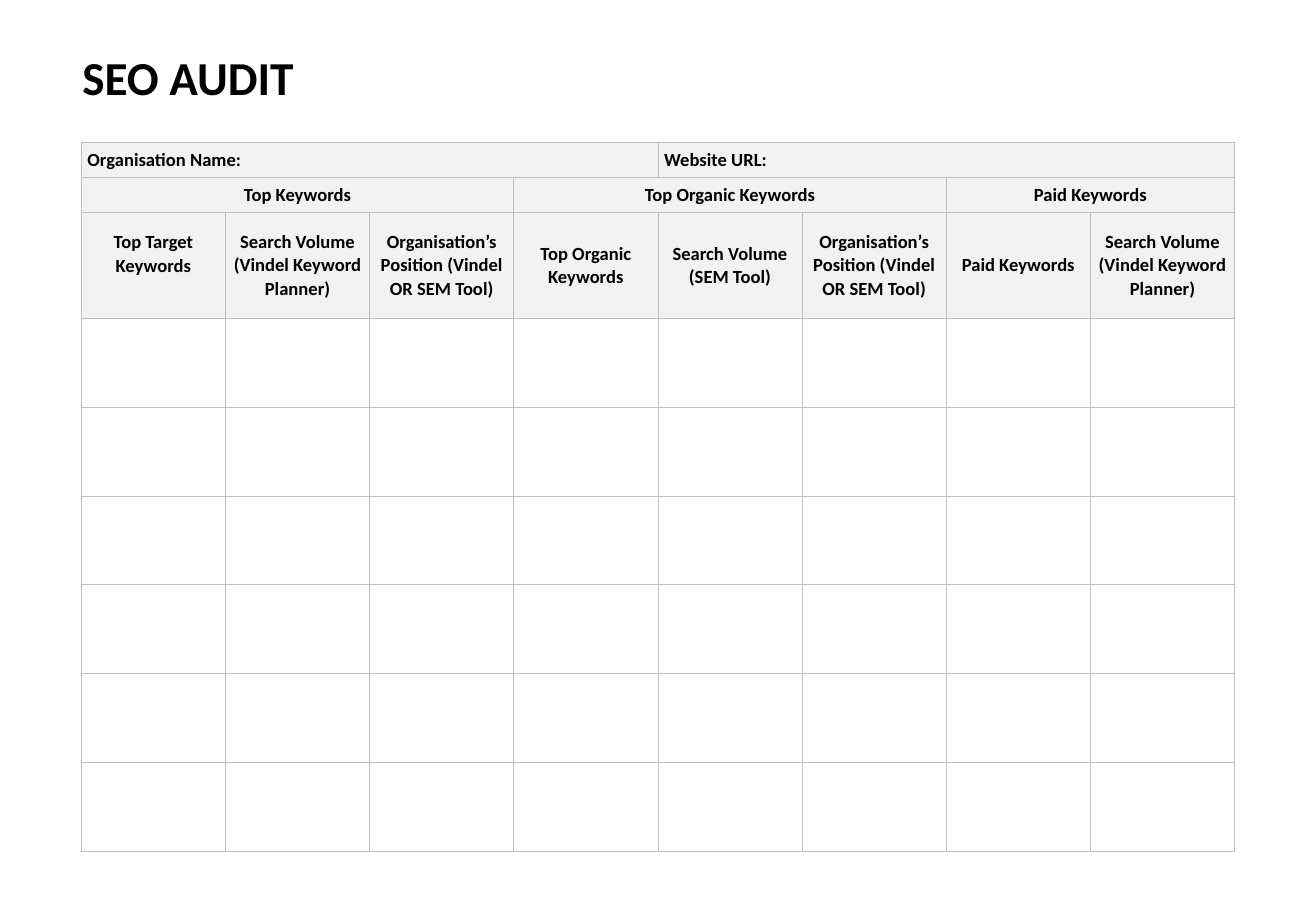
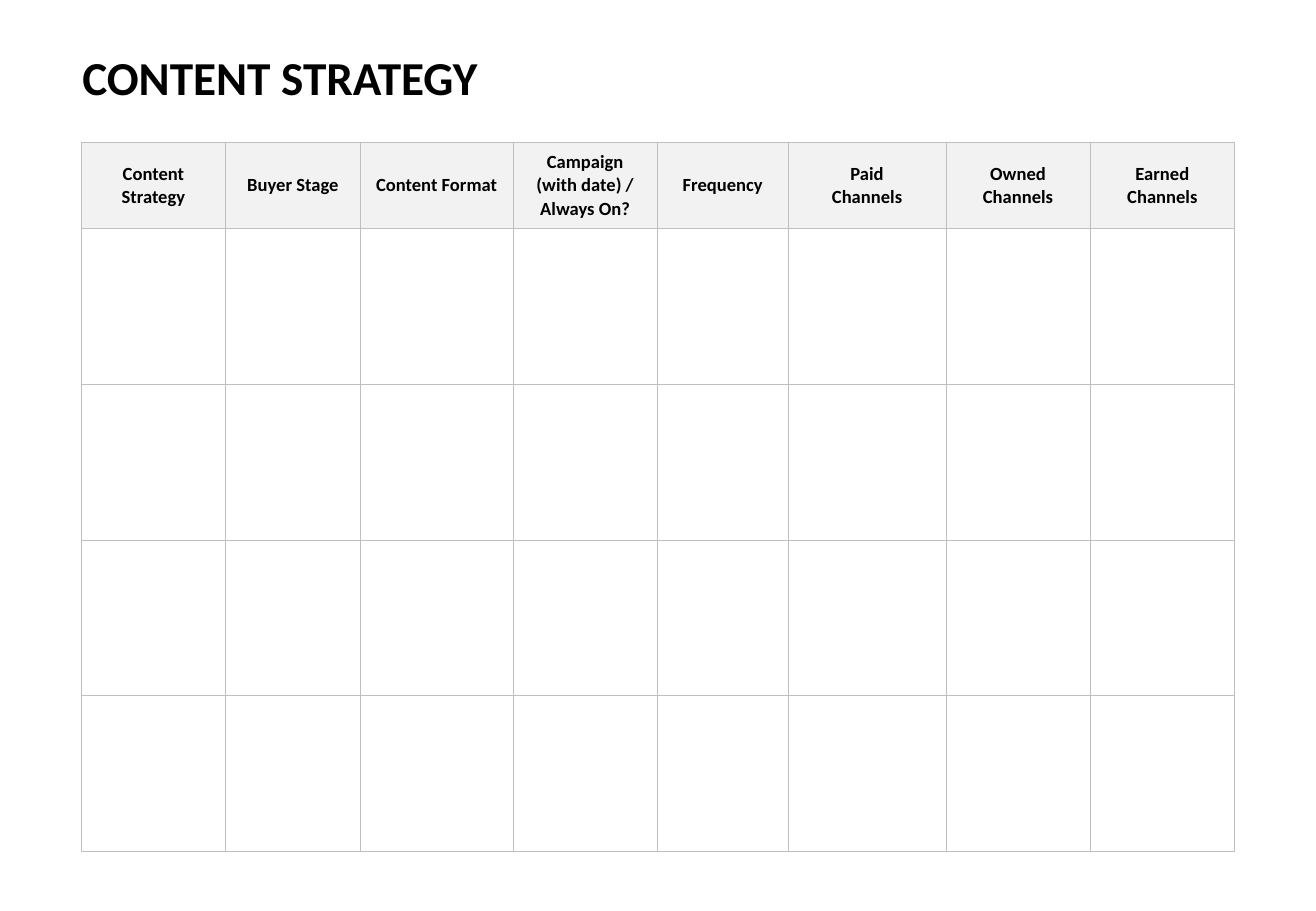
"""Build two planning sheets: an SEO audit and a content strategy."""
from dataclasses import dataclass
from typing import Any

from lxml import etree
from pptx import Presentation
from pptx import util as u
from pptx.dml import color
from pptx.enum import text
from pptx.oxml import ns

SLIDE_W, SLIDE_H = 10.84, 7.5
LEFT, TOP, WIDTH, HEIGHT = 0.67, 1.17, 9.5, 5.84
TITLE_LEFT, TITLE_TOP, TITLE_H = 0.58, 0.35, 0.57
COLOURS = {"ink": "000000", "head": "F2F2F2", "rule": "BFBFBF"}
RULE_PT = 0.45
PLAIN_STYLE = "{2D5ABB26-0587-4C30-8999-92F81FD0307C}"
TITLE_FONT = {"name": "Calibri", "size": u.Pt(28), "bold": True}
HEAD_FONT = {**TITLE_FONT, "size": u.Pt(11)}
HEAD_PARA = {"line_spacing": 1.02}
PLAIN_TABLE = {"first_row": False, "horz_banding": False}


@dataclass(frozen=True)
class Head:
    """A header cell: its text, columns spanned, alignment and upward shift."""
    label: str
    span: int = 1
    align: Any = text.PP_ALIGN.CENTER
    lift: float = 0.0


@dataclass(frozen=True)
class Sheet:
    """A slide: title, column shares, header rows and count of empty rows."""
    title: str
    title_w: float
    columns: tuple[float, ...]
    head_heights: tuple[float, ...]
    heads: tuple[tuple[Head, ...], ...]
    empty_rows: int
    side_inset: float


VOLUME = Head("Search Volume (Vindel Keyword Planner)")
POSITION = Head("Organisation’s Position (Vindel OR SEM Tool)")
SHEETS = (
    Sheet("SEO AUDIT", 7.86, (1,) * 8, (0.29, 0.29, 0.87), (
        (Head("Organisation Name:", 4, text.PP_ALIGN.LEFT),
         Head("Website URL:", 4, text.PP_ALIGN.LEFT)),
        (Head("Top Keywords", 3), Head("Top Organic Keywords", 3), Head("Paid Keywords", 2)),
        (Head("Top Target Keywords", lift=0.19), VOLUME, POSITION,
         Head("Top Organic Keywords"), Head("Search Volume (SEM Tool)"), POSITION,
         Head("Paid Keywords"), VOLUME),
    ), 6, 0.05),
    Sheet("CONTENT STRATEGY", 8.83, (1.19, 1.11, 1.26, 1.19, 1.08, 1.3, 1.19, 1.19), (0.71,), (
        tuple(Head(label) for label in (
            "Content Strategy", "Buyer Stage", "Content Format",
            "Campaign (with date) / Always On?", "Frequency",
            "Paid\nChannels", "Owned Channels", "Earned Channels")),
    ), 4, 0.1),
)


def apply(obj: Any, values: dict[str, Any]) -> None:
    """Set each named attribute on an object."""
    for name, value in values.items():
        setattr(obj, name, value)


def style_font(font: Any, values: dict[str, Any]) -> None:
    """Give a font its format and the ink colour."""
    apply(font, values)
    font.color.rgb = color.RGBColor.from_string(COLOURS["ink"])


def add_title(s: Any, sheet: Sheet) -> None:
    """Write the slide's title."""
    sp = s.shapes.add_textbox(*map(u.Inches, (TITLE_LEFT, TITLE_TOP, sheet.title_w, TITLE_H)))
    tf = sp.text_frame
    apply(tf, {"word_wrap": True, "vertical_anchor": text.MSO_ANCHOR.MIDDLE,
               "auto_size": text.MSO_AUTO_SIZE.SHAPE_TO_FIT_TEXT})
    r = tf.paragraphs[0].add_run()
    r.text = sheet.title
    style_font(r.font, TITLE_FONT)


def rule_cell(cell: Any) -> None:
    """Draw thin rules on all four sides of a cell."""
    props = cell._tc.get_or_add_tcPr()
    for side in ("lnL", "lnR", "lnT", "lnB"):
        line = etree.SubElement(props, ns.qn(f"a:{side}"), w=str(u.Pt(RULE_PT)))
        fill = etree.SubElement(line, ns.qn("a:solidFill"))
        etree.SubElement(fill, ns.qn("a:srgbClr"), val=COLOURS["rule"])


def fill_head(cell: Any, head: Head, inset: float) -> None:
    """Write a header cell."""
    cell.text = head.label
    apply(cell, {"vertical_anchor": text.MSO_ANCHOR.MIDDLE,
                 "margin_left": u.Inches(inset), "margin_right": u.Inches(inset),
                 "margin_top": u.Inches(0.05), "margin_bottom": u.Inches(0.05 + head.lift)})
    for p in cell.text_frame.paragraphs:
        apply(p, {**HEAD_PARA, "alignment": head.align})
        for r in p.runs:
            style_font(r.font, HEAD_FONT)


def add_grid(s: Any, sheet: Sheet) -> None:
    """Draw the table, sharing the height left below the headers equally."""
    body = (HEIGHT - sum(sheet.head_heights)) / sheet.empty_rows
    heights = sheet.head_heights + (body,) * sheet.empty_rows
    frame = s.shapes.add_table(len(heights), len(sheet.columns),
                               *map(u.Inches, (LEFT, TOP, WIDTH, HEIGHT)))
    table = frame.table
    apply(table, PLAIN_TABLE)
    table._tbl.tblPr.find(ns.qn("a:tableStyleId")).text = PLAIN_STYLE
    for column, share in zip(table.columns, sheet.columns):
        column.width = u.Inches(WIDTH * share / sum(sheet.columns))
    for i, (row, height) in enumerate(zip(table.rows, heights)):
        row.height = u.Inches(height)
        for cell in row.cells:
            rule_cell(cell)
            if i < len(sheet.heads):
                cell.fill.solid()
                cell.fill.fore_color.rgb = color.RGBColor.from_string(COLOURS["head"])
            else:
                cell.fill.background()
    for i, heads in enumerate(sheet.heads):
        col = 0
        for head in heads:
            cell = table.cell(i, col)
            if head.span > 1:
                cell.merge(table.cell(i, col + head.span - 1))
            fill_head(cell, head, sheet.side_inset)
            col += head.span


def main() -> None:
    """Build and save the presentation."""
    prs = Presentation()
    apply(prs, {"slide_width": u.Inches(SLIDE_W), "slide_height": u.Inches(SLIDE_H)})
    for sheet in SHEETS:
        s = prs.slides.add_slide(prs.slide_layouts[6])
        add_title(s, sheet)
        add_grid(s, sheet)
    prs.save("out.pptx")


if __name__ == "__main__":
    main()
